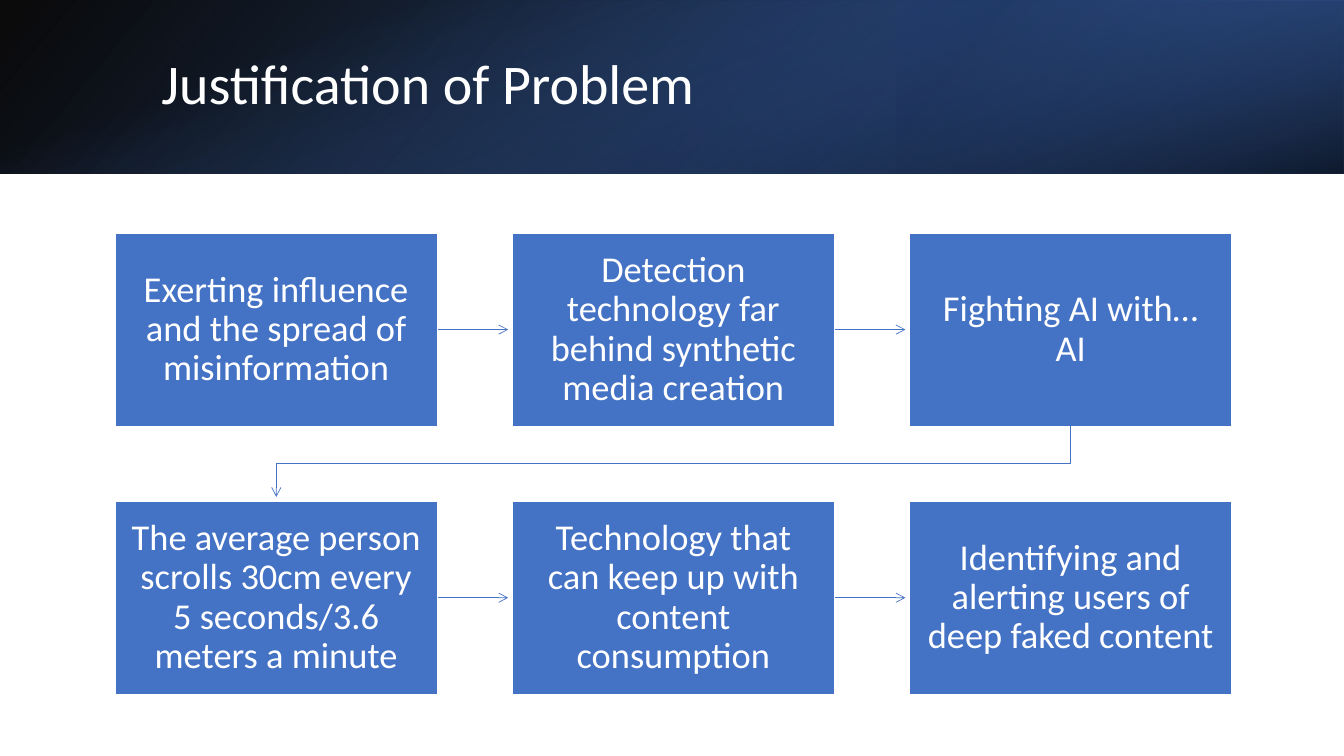
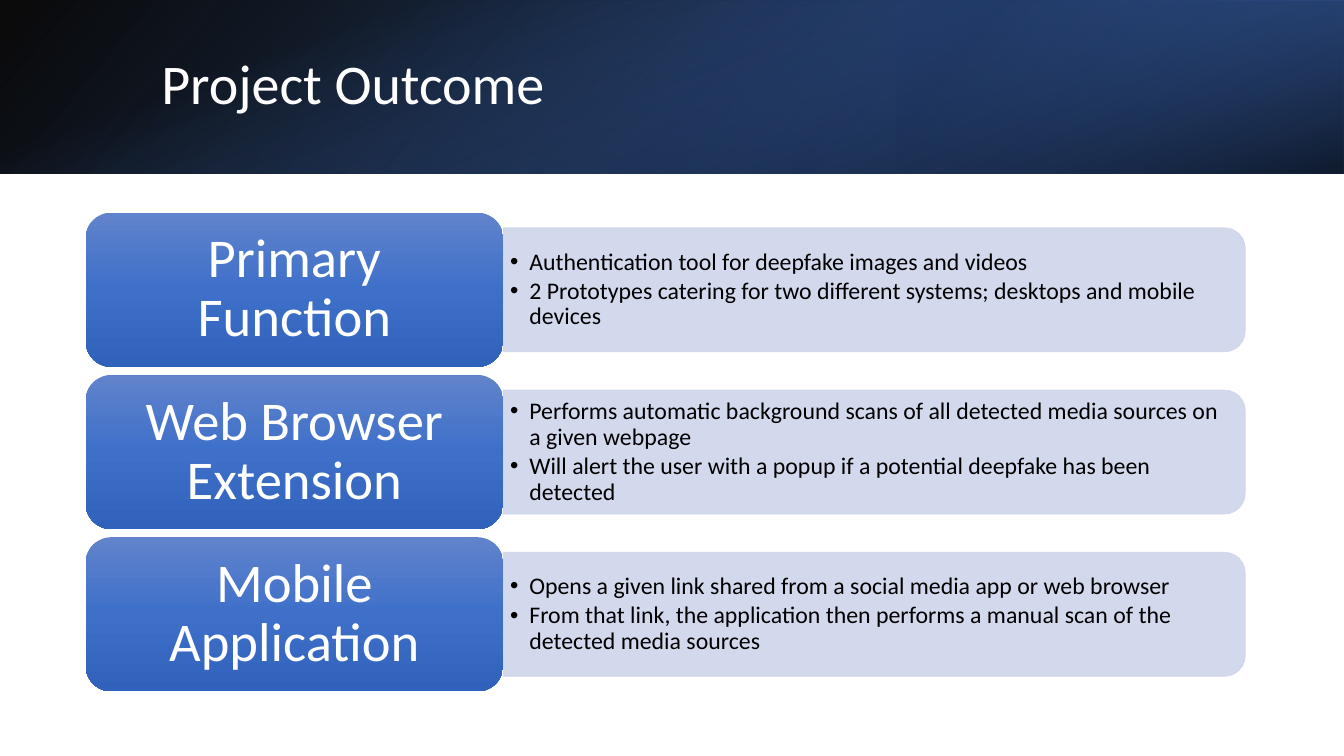
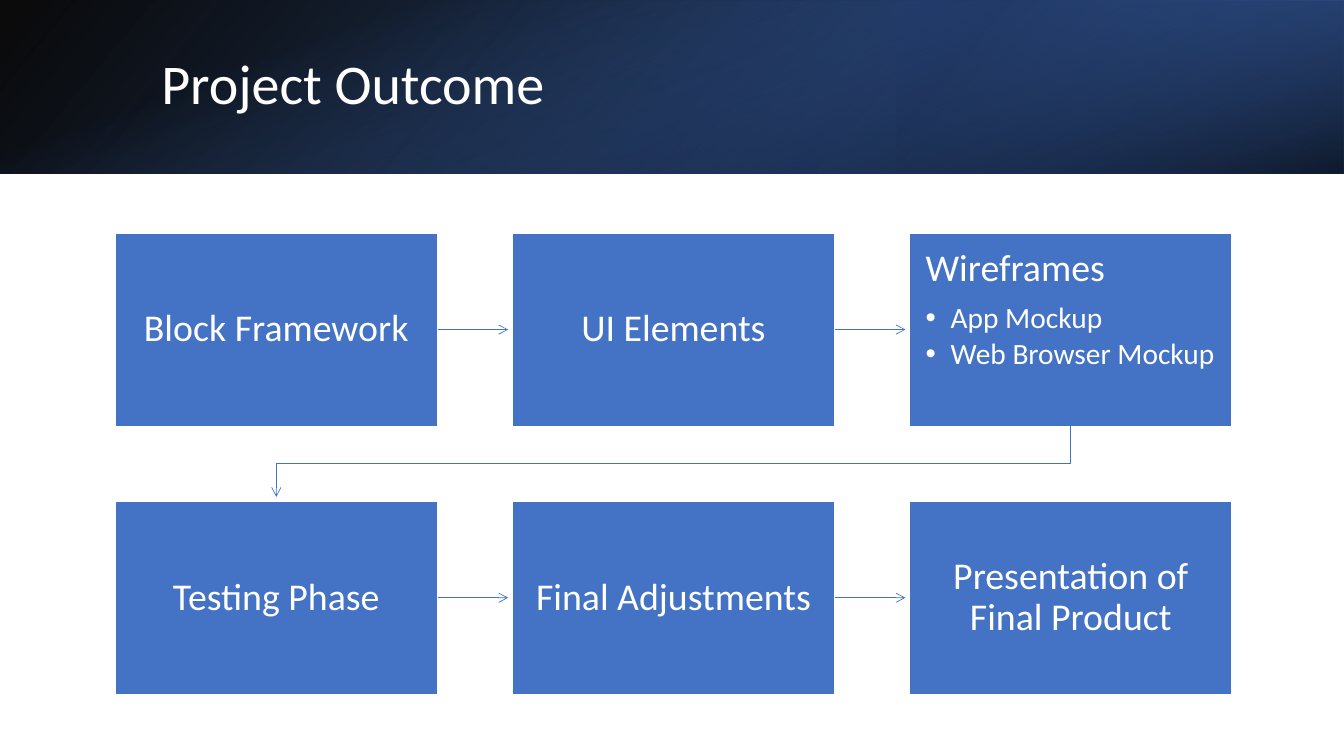
"""Build three slides on a deepfake detection project."""
from lxml.etree import SubElement
from pptx import Presentation
from pptx.dml.color import RGBColor
from pptx.enum.shapes import MSO_CONNECTOR as CONN, MSO_SHAPE as SHAPE
from pptx.enum.text import MSO_ANCHOR as ANCHOR, MSO_AUTO_SIZE as AUTO, PP_ALIGN as ALIGN
from pptx.oxml import parse_xml
from pptx.oxml.ns import nsdecls, qn
from pptx.util import Inches, Pt

FONT = "Calibri"
WHITE, BLACK, BLUE, PALE = "FFFFFF", "000000", "4472C4", "CFD5EA"
BANDS = [
    ((0, 0, 13.33, 1.72), 0, True, [(0, BLACK, 96), (100, "2F5597", 100)], 140),
    ((8.89, 0, 4.44, 1.72), 180, True, [(19, "203864", 68), (100, BLUE, 79)], 320),
    ((5.8, -5.8, 1.72, 13.33), 90, False, [(23, BLUE, 0), (99, BLACK, 74)], 340),
]
LABEL_STOPS = [(0, "6183CB", 100), (50, "3E70CA", 100), (100, "3062BB", 100)]

JUSTIFICATION = [
    ["Exerting influence and the spread of misinformation"],
    ["Detection technology far behind synthetic media creation"],
    ["Fighting AI with… AI"],
    ["The average person scrolls 30cm every 5 seconds/3.6 meters a minute"],
    ["Technology that can keep up with content consumption"],
    ["Identifying and alerting users of deep faked content"],
]
FEATURES = [
    ("Primary Function", [
        "Authentication tool for deepfake images and videos",
        "2 Prototypes catering for two different systems; desktops and mobile devices"]),
    ("Web Browser Extension", [
        "Performs automatic background scans of all detected media sources on a given webpage",
        "Will alert the user with a popup if a potential deepfake has been detected"]),
    ("Mobile Application", [
        "Opens a given link shared from a social media app or web browser",
        "From that link, the application then performs a manual scan of the detected media sources"]),
]
STAGES = [
    ["Block Framework"],
    ["UI Elements"],
    ["Wireframes", "App Mockup", "Web Browser Mockup"],
    ["Testing Phase"],
    ["Final Adjustments"],
    ["Presentation of Final Product"],
]

BOX_W, BOX_H, COLS = 3.2, 1.92, 3
BOX_X, BOX_Y, STEP_X, STEP_Y = 1.14, 2.31, 3.94, 2.66
ARROW_GAP = 0.04
LABEL_X, LABEL_Y, LABEL_W, LABEL_H, LABEL_STEP = 0.85, 2.11, 4.14, 1.53, 1.61
PANEL_W, PANEL_H = 7.36, 1.23
NOTE_W, NOTE_H = 7.3, 1.11


def rgb(color):
    return RGBColor.from_string(color)


def paint_gradient(sp, stops, angle):
    gs = "".join(f'<a:gs pos="{pos * 1000}"><a:srgbClr val="{color}">'
                 f'<a:alpha val="{alpha * 1000}"/></a:srgbClr></a:gs>'
                 for pos, color, alpha in stops)
    grad = parse_xml(f'<a:gradFill {nsdecls("a")} rotWithShape="1"><a:gsLst>{gs}</a:gsLst>'
                     f'<a:lin ang="{angle * 60000}" scaled="0"/></a:gradFill>')
    sp.fill.background()
    props = sp.element.spPr
    props.replace(props.find(qn("a:noFill")), grad)


def add_shape(slide, kind, box, fill=None, line=None, width=1):
    sp = slide.shapes.add_shape(kind, *map(Inches, box))
    sp.shadow.inherit = False
    if fill:
        sp.fill.solid()
        sp.fill.fore_color.rgb = rgb(fill)
    if line:
        sp.line.color.rgb = rgb(line)
        sp.line.width = Pt(width)
    else:
        sp.line.fill.background()
    return sp


def write(sp, lines, insets, color, align=ALIGN.CENTER, anchor=ANCHOR.MIDDLE):
    """Fill a shape with (text, size, bullet indent) lines."""
    tf = sp.text_frame
    tf.word_wrap, tf.auto_size, tf.vertical_anchor = True, AUTO.NONE, anchor
    tf.margin_left = tf.margin_right = Inches(insets[0])
    tf.margin_top = tf.margin_bottom = Inches(insets[1])
    tf.text = "\n".join(text for text, _, _ in lines)
    for p, (_, size, indent) in zip(tf.paragraphs, lines):
        p.alignment, p.line_spacing = align, 0.9
        p.space_before, p.space_after = Pt(0), Pt(round(size * (0.15 if indent else 0.35), 1))
        if indent:
            props = p._p.get_or_add_pPr()
            props.set("marL", str(Inches(indent)))
            props.set("indent", str(-Inches(indent)))
            SubElement(props, qn("a:buFont"), typeface="Arial")
            SubElement(props, qn("a:buChar"), char="•")
        for r in p.runs:
            r.font.name, r.font.size, r.font.color.rgb = FONT, Pt(size), rgb(color)


def add_slide(prs, title):
    slide = prs.slides.add_slide(prs.slide_layouts[5])
    for box, turn, flip, stops, angle in BANDS:
        sp = add_shape(slide, SHAPE.RECTANGLE, box)
        sp.rotation = turn
        paint_gradient(sp, stops, angle)
        if flip:
            sp.element.spPr.find(qn("a:xfrm")).set("flipH", "1")
    sp = slide.shapes.title
    slide.shapes._spTree.append(sp.element)
    sp.left, sp.top, sp.width, sp.height = map(Inches, (1.5, 0.38, 10.98, 0.96))
    write(sp, [(title, 40, 0)], (0.1, 0.05), WHITE, ALIGN.LEFT)
    return slide


def style_arrow(sp):
    sp.line.color.rgb = rgb(BLUE)
    sp.line.width = Pt(0.5)
    props = sp.element.spPr
    SubElement(props.find(qn("a:ln")), qn("a:tailEnd"), type="arrow")
    if props.find(qn("a:effectLst")) is None:
        SubElement(props, qn("a:effectLst"))


def add_turn(slide, start, end):
    """Draw the arrow that leads from the first row down to the second."""
    middle = (start.top + start.height + end.top) // 2
    x1, x2 = start.left + start.width // 2, end.left + end.width // 2
    fb = slide.shapes.build_freeform(x1, start.top + start.height)
    fb.add_line_segments([(x1, middle), (x2, middle), (x2, end.top - Inches(ARROW_GAP))],
                         close=False)
    sp = fb.convert_to_shape()
    sp.fill.background()
    style_arrow(sp)


def add_flow(prs, title, steps, size):
    slide = add_slide(prs, title)
    boxes = []
    for i, (head, *bullets) in enumerate(steps):
        row, col = divmod(i, COLS)
        box = (BOX_X + col * STEP_X, BOX_Y + row * STEP_Y, BOX_W, BOX_H)
        sp = add_shape(slide, SHAPE.RECTANGLE, box, BLUE, WHITE)
        place = (ALIGN.LEFT, ANCHOR.TOP) if bullets else (ALIGN.CENTER, ANCHOR.MIDDLE)
        lines = [(head, size, 0)] + [(text, 21, 0.25) for text in bullets]
        write(sp, lines, (0.16, 0.16), WHITE, *place)
        boxes.append(sp)
    for i, (start, end) in enumerate(zip(boxes, boxes[1:]), 1):
        if i % COLS == 0:
            add_turn(slide, start, end)
            continue
        y = start.top + start.height // 2
        arrow = slide.shapes.add_connector(CONN.STRAIGHT, start.left + start.width, y,
                                           end.left - Inches(ARROW_GAP), y)
        arrow.begin_connect(start, 3)
        style_arrow(arrow)


def add_features(prs, title, features):
    slide = add_slide(prs, title)
    panel_x = LABEL_X + LABEL_W
    for i, (name, notes) in enumerate(features):
        top = LABEL_Y + i * LABEL_STEP
        middle = top + LABEL_H / 2
        panel = add_shape(slide, SHAPE.ROUND_2_SAME_RECTANGLE,
                          (panel_x + (PANEL_W - PANEL_H) / 2, middle - PANEL_W / 2,
                           PANEL_H, PANEL_W), PALE, PALE, 0.5)
        panel.rotation = 90
        for color in panel.element.spPr.iter(qn("a:srgbClr")):
            SubElement(color, qn("a:alpha"), val="90000")
        note = slide.shapes.add_textbox(*map(Inches, (panel_x, middle - NOTE_H / 2,
                                                      NOTE_W, NOTE_H)))
        write(note, [(text, 17, 0.19) for text in notes], (0.07, 0.04), BLACK, ALIGN.LEFT)
        label = add_shape(slide, SHAPE.ROUNDED_RECTANGLE, (LABEL_X, top, LABEL_W, LABEL_H))
        paint_gradient(label, LABEL_STOPS, 90)
        write(label, [(name, 39, 0)], (0.16, 0.08), WHITE)


def main():
    prs = Presentation()
    prs.slide_width, prs.slide_height = Inches(13.33), Inches(7.5)
    add_flow(prs, "Justification of Problem", JUSTIFICATION, 26)
    add_features(prs, "Project Outcome", FEATURES)
    add_flow(prs, "Project Outcome", STAGES, 27)
    prs.save("out.pptx")


if __name__ == "__main__":
    main()
